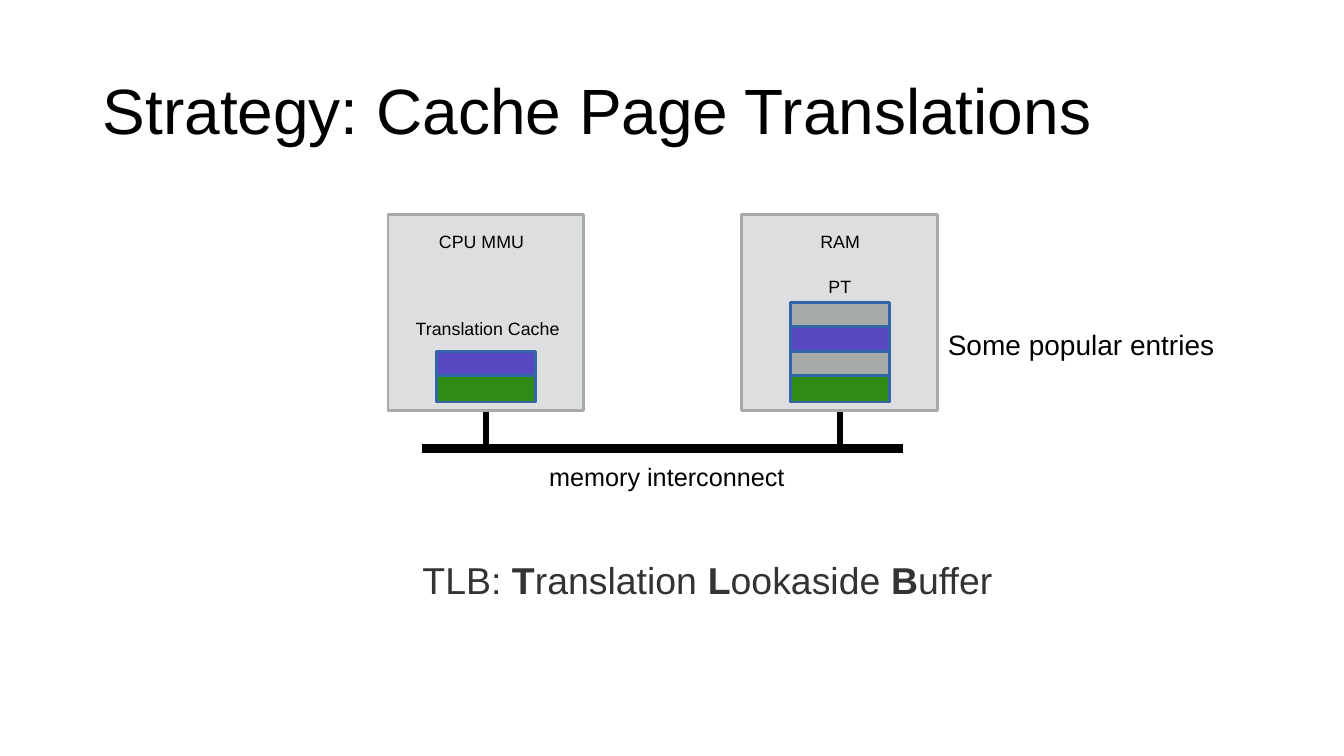
"""Build the slide on caching page translations in a TLB."""
import lxml.etree
import pptx
import pptx.dml.color
import pptx.enum.shapes
import pptx.enum.text
import pptx.oxml.ns
import pptx.util

RGBColor = pptx.dml.color.RGBColor
BLACK = RGBColor(0x00, 0x00, 0x00)
DARK = RGBColor(0x33, 0x33, 0x33)
PANEL = RGBColor(0xDC, 0xDE, 0xE0)
GRAY = RGBColor(0xA6, 0xAA, 0xA8)
BLUE = RGBColor(0x34, 0x65, 0xA4)
VIOLET = RGBColor(0x57, 0x47, 0xC1)
GREEN = RGBColor(0x30, 0x8B, 0x16)

Pt = pptx.util.Pt
qn = pptx.oxml.ns.qn
MIDDLE = pptx.enum.text.MSO_ANCHOR.MIDDLE
LEFT = pptx.enum.text.PP_ALIGN.LEFT
FIXED = pptx.enum.text.MSO_AUTO_SIZE.NONE

deck = pptx.Presentation()
deck.slide_width = pptx.util.Inches(13.33)
deck.slide_height = pptx.util.Inches(7.5)
slide = deck.slides.add_slide(deck.slide_layouts[1])
shapes = slide.shapes


def place(left, top, width, height):
    across, down = deck.slide_width / 100, deck.slide_height / 100
    return [int(left * across), int(top * down), int(width * across), int(height * down)]


def style(para, size, color):
    para.alignment = LEFT
    para.font.name = "Arial"
    para.font.size = Pt(size)
    para.font.color.rgb = color


title, body = shapes.title, slide.placeholders[1]
title.left, title.top, title.width, title.height = place(6.9, 5.33, 86.25, 19.33)
body.left, body.top, body.width, body.height = place(30.68, 73.73, 51.75, 15.87)
title.text_frame.text = "Strategy: Cache Page Translations"
title.text_frame.vertical_anchor = MIDDLE

para = body.text_frame.paragraphs[0]
props = para._p.get_or_add_pPr()
props.set("marL", "0")
props.set("indent", "0")
lxml.etree.SubElement(props, qn("a:buNone"))
for text, bold in [("TLB: ", False), ("T", True), ("ranslation ", False), ("L", True),
                   ("ookaside ", False), ("B", True), ("uffer", False)]:
    run = para.add_run()
    run.text = text
    run.font.bold = bold

for holder, size, color in [(title, 45.7, BLACK), (body, 26.7, DARK)]:
    holder.text_frame.auto_size = FIXED
    para = holder.text_frame.paragraphs[0]
    style(para, size, color)
    para.line_spacing = 0.9
    para.space_before = Pt(0)

mid_cpu, mid_ram = 36.15, 62.48
side, tall = 14.55, 25.87
bus = 59.33
for x, y, end_x, end_y, weight in [(mid_cpu, bus, mid_cpu, 53, 4),
                                   (mid_ram, bus, mid_ram, 53, 4),
                                   (31.43, bus, 67.2, bus, 7)]:
    wire = shapes.add_connector(pptx.enum.shapes.MSO_CONNECTOR.STRAIGHT,
                                *place(x, y, end_x, end_y))
    wire.line.color.rgb = BLACK
    wire.line.width = Pt(weight)
    lxml.etree.SubElement(wire._element.spPr, qn("a:effectLst"))

boxes = [(mid - side / 2, 28.4, side, tall, PANEL, GRAY) for mid in (mid_cpu, mid_ram)]
entry, step = 7.35, 3.24
for mid, first, fills in [(mid_ram, 0, [GRAY, VIOLET, GRAY, GREEN]),
                          (mid_cpu, 2, [VIOLET, GREEN])]:
    for row, fill in enumerate(fills, first):
        boxes.append((mid - entry / 2, 40 + row * step, entry, 3.47, fill, BLUE))
for left, top, width, height, fill, edge in boxes:
    box = shapes.add_shape(pptx.enum.shapes.MSO_SHAPE.RECTANGLE,
                           *place(left, top, width, height))
    box.shadow.inherit = False
    box.fill.solid()
    box.fill.fore_color.rgb = fill
    box.line.color.rgb = edge
    box.line.width = Pt(2)

for text, left, top, width, height, size, inset in [
        ("CPU MMU", 32.35, 30, 7.5, 3.87, 12.7, 3),
        ("RAM", 60.73, 30, 4.5, 3.87, 12.7, 3),
        ("PT", 61.33, 35.95, 3, 3.87, 12.7, 3),
        ("Translation Cache", 30.62, 41.47, 14.1, 3.87, 12.7, 3),
        ("memory interconnect", 40.55, 60.53, 19, 5.07, 18, 3),
        ("Some popular entries", 69.78, 42.67, 22, 5.87, 20, 7.2)]:
    frame = shapes.add_textbox(*place(left, top, width, height)).text_frame
    frame.text = text
    frame.word_wrap = True
    frame.vertical_anchor = MIDDLE
    frame.margin_left = frame.margin_right = Pt(inset)
    frame.margin_top = frame.margin_bottom = Pt(3)
    style(frame.paragraphs[0], size, BLACK)

deck.save("out.pptx")
